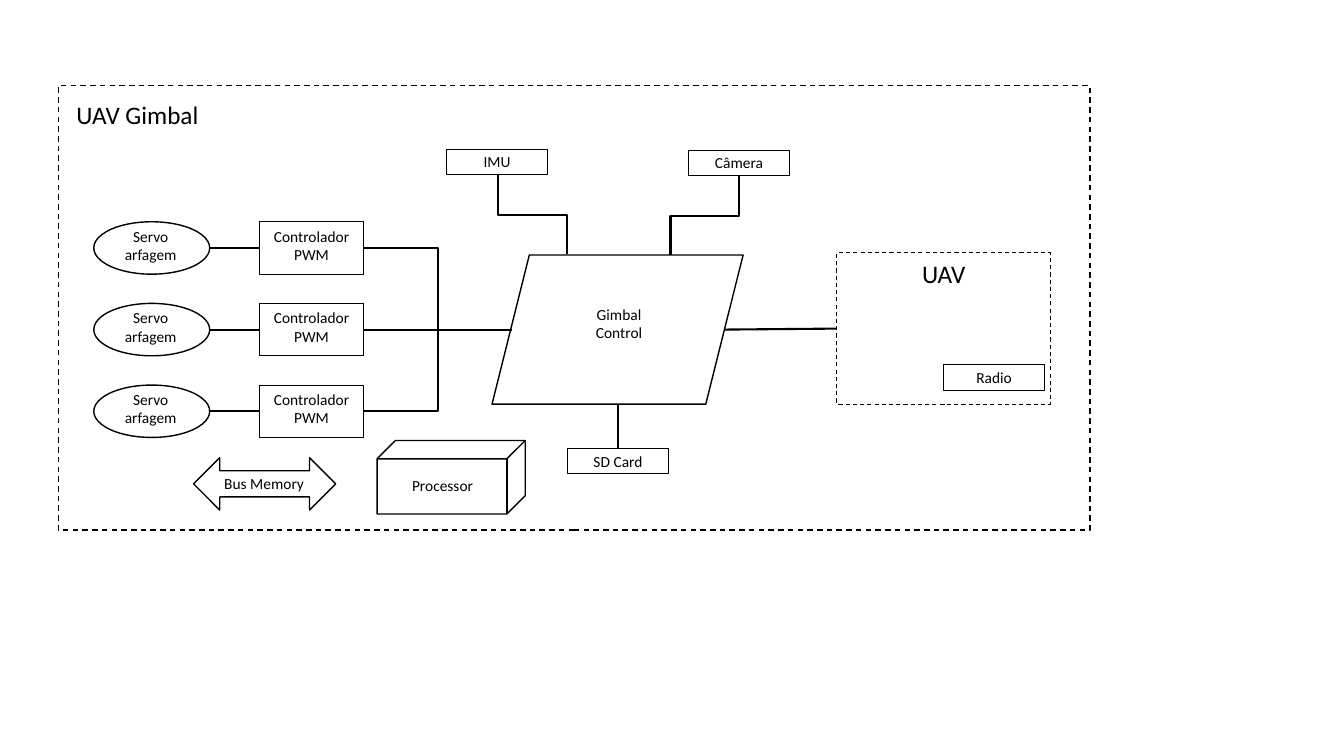
from lxml import etree
from pptx import Presentation
from pptx.dml.color import RGBColor
from pptx.enum.dml import MSO_LINE
from pptx.enum.shapes import MSO_CONNECTOR, MSO_SHAPE
from pptx.enum.text import MSO_ANCHOR, PP_ALIGN
from pptx.oxml.ns import qn
from pptx.util import Inches, Pt

RECT, ELLIPSE = MSO_SHAPE.RECTANGLE, MSO_SHAPE.OVAL
PARALLELOGRAM, CUBE = MSO_SHAPE.PARALLELOGRAM, MSO_SHAPE.CUBE
ARROW = MSO_SHAPE.LEFT_RIGHT_ARROW
STRAIGHT, ELBOW = MSO_CONNECTOR.STRAIGHT, MSO_CONNECTOR.ELBOW
TOP, MIDDLE = MSO_ANCHOR.TOP, MSO_ANCHOR.MIDDLE
LEFT, CENTER = PP_ALIGN.LEFT, PP_ALIGN.CENTER
DASH = MSO_LINE.DASH
BLACK = "000000"
SIDE_TOP, SIDE_LEFT, SIDE_RIGHT = 0, 1, 3


def rgb(value):
    return RGBColor.from_string(value)


def write(sp, text, size=11, anchor=MIDDLE, align=CENTER):
    tf = sp.text_frame
    tf.word_wrap = True
    tf.vertical_anchor = anchor
    tf.text = text
    for p in tf.paragraphs:
        p.alignment = align
        for r in p.runs:
            r.font.name = "Calibri"
            r.font.size = Pt(size)
            r.font.color.rgb = rgb(BLACK)


def add_outline(s, kind, x, y, w, h, weight=1.0, dash=None):
    sp = s.shapes.add_shape(kind, Inches(x), Inches(y), Inches(w), Inches(h))
    sp.shadow.inherit = False
    sp.fill.background()
    sp.line.color.rgb = rgb(BLACK)
    sp.line.width = Pt(weight)
    if dash:
        sp.line.dash_style = dash
    return sp


def add_box(s, text, x, y, w=1.0, h=0.25, size=11, anchor=MIDDLE, dash=None):
    sp = add_outline(s, RECT, x, y, w, h, 0.75, dash)
    write(sp, text, size, anchor)
    return sp


def add_label(s, text, x, y, w, h, **style):
    write(s.shapes.add_textbox(Inches(x), Inches(y), Inches(w), Inches(h)), text, **style)


def add_link(s, kind, x1, y1, x2, y2, begin=None, end=None):
    """Draw a connector; begin and end are (shape, side) pairs to join."""
    link = s.shapes.add_connector(kind, Inches(x1), Inches(y1), Inches(x2), Inches(y2))
    link.line.color.rgb = rgb(BLACK)
    link.line.width = Pt(1.5)
    etree.SubElement(link._element.spPr, qn("a:effectLst"))
    if begin:
        link.begin_connect(*begin)
    if end:
        link.end_connect(*end)
    return link


def add_drop(s, x1, y1, x2, y2):
    """Elbow that leaves and arrives vertically: a quarter-turned elbow."""
    cx, cy = (x1 + x2) / 2, (y1 + y2) / 2
    half_w, half_h = (y2 - y1) / 2, (x2 - x1) / 2
    link = add_link(s, ELBOW, cx - half_w, cy + half_h, cx + half_w, cy - half_h)
    link._element.spPr.find(qn("a:xfrm")).set("rot", "5400000")


def add_servo_row(s, y):
    mid = y + 0.26
    pwm = add_box(s, "Controlador\nPWM", 2.57, y, 1.04, 0.52, anchor=TOP)
    add_outline(s, ELLIPSE, 0.93, y, 1.15, 0.52)
    add_label(s, "Servo\varfagem", 1.08, y, 0.83, 0.52, anchor=TOP)
    add_link(s, STRAIGHT, 2.08, mid, 2.57, mid, end=(pwm, SIDE_LEFT))
    return pwm


def main():
    prs = Presentation()
    prs.slide_width, prs.slide_height = Inches(13.33), Inches(7.5)
    s = prs.slides.add_slide(prs.slide_layouts[6])

    # Gimbal frame
    add_outline(s, RECT, 0.58, 0.85, 10.23, 4.41, dash=DASH)
    add_label(s, "UAV Gimbal", 0.66, 0.94, 2.17, 0.4, size=18, anchor=TOP, align=LEFT)

    # Servo rows, each joined to the gimbal control
    for row, kind in enumerate((ELBOW, STRAIGHT, ELBOW)):
        y = 2.2 + 0.81 * row
        pwm = add_servo_row(s, y)
        add_link(s, kind, 3.61, y + 0.26, 5.08, 3.27, begin=(pwm, SIDE_RIGHT))

    # Gimbal control
    add_outline(s, PARALLELOGRAM, 4.88, 2.53, 2.49, 1.48)
    add_label(s, "Gimbal Control", 5.72, 3.01, 0.84, 0.4)

    # Sensors and storage
    add_box(s, "IMU", 4.43, 1.48)
    add_drop(s, 4.94, 1.74, 5.62, 2.52)
    add_box(s, "Câmera", 6.83, 1.49)
    add_drop(s, 7.33, 1.75, 6.65, 2.53)
    sd_card = add_box(s, "SD Card", 5.63, 4.45)
    add_link(s, STRAIGHT, 6.13, 4.01, 6.13, 4.45, end=(sd_card, SIDE_TOP))

    # Vehicle with its radio
    uav = add_box(s, "UAV", 8.3, 2.51, 2.12, 1.5, size=18, anchor=TOP, dash=DASH)
    add_box(s, "Radio", 9.36, 3.62)
    add_link(s, STRAIGHT, 7.19, 3.27, 8.3, 3.26, end=(uav, SIDE_LEFT))

    # Processor and memory bus
    add_outline(s, CUBE, 3.74, 4.37, 1.47, 0.73)
    add_label(s, "Processor", 3.89, 4.69, 1, 0.25)
    add_outline(s, ARROW, 1.92, 4.54, 1.41, 0.52)
    add_label(s, "Bus Memory", 2.12, 4.67, 1, 0.25)

    prs.save("out.pptx")


if __name__ == "__main__":
    main()
